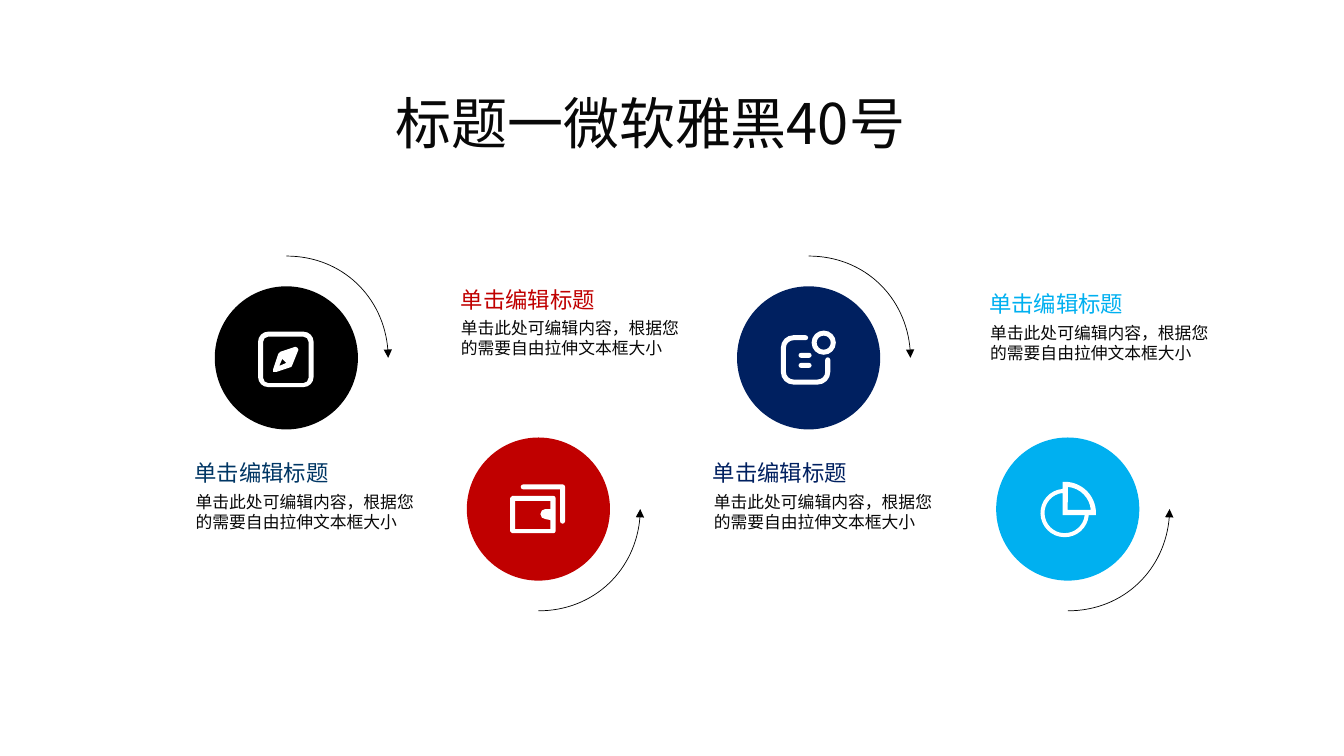
from math import ceil, cos, radians, sin, tan

from pptx import Presentation
from pptx.dml.color import RGBColor
from pptx.enum import shapes, text
from pptx.oxml.ns import qn
from pptx.util import Inches, Pt
from lxml import etree

BLACK = RGBColor(0x00, 0x00, 0x00)
WHITE = RGBColor(0xFF, 0xFF, 0xFF)
INK = RGBColor(0x08, 0x08, 0x08)
TEAL = RGBColor(0x00, 0x36, 0x64)
NAVY = RGBColor(0x00, 0x20, 0x60)
RED = RGBColor(0xC0, 0x00, 0x00)
SKY = RGBColor(0x00, 0xB0, 0xF0)
FONT = "Noto Sans CJK SC"

TITLE = "标题一微软雅黑40号"
HEADING = "单击编辑标题"
BODY = "单击此处可编辑内容，根据您的需要自由拉伸文本框大小"
DISC_SIZE = 1.42
ARROW_RADIUS = 1.01
STROKE = 0.05
CAP = STROKE / 2

STEPS = [
    {"center": (2.84, 3.55), "fill": BLACK, "ink": TEAL, "upper": True,
     "heading": (1.93, 4.56), "body": (1.94, 4.88)},
    {"center": (8.02, 3.55), "fill": NAVY, "ink": NAVY, "upper": True,
     "heading": (7.07, 4.56), "body": (7.08, 4.88)},
    {"center": (5.34, 5.05), "fill": RED, "ink": RED, "upper": False,
     "heading": (4.57, 2.84), "body": (4.57, 3.15)},
    {"center": (10.59, 5.05), "fill": SKY, "ink": SKY, "upper": False,
     "heading": (9.81, 2.88), "body": (9.82, 3.2)},
]


def arc(x, y, radius, start, end):
    count = ceil(abs(end - start) / 90)
    sweep = radians(end - start) / count
    reach = 4 / 3 * tan(sweep / 4)
    knots = []
    for i in range(count + 1):
        angle = radians(start) + sweep * i
        knots.append((x + radius * cos(angle), y + radius * sin(angle),
                      -radius * reach * sin(angle), radius * reach * cos(angle)))
    curves = [(ax + adx, ay + ady, bx - bdx, by - bdy, bx, by)
              for (ax, ay, adx, ady), (bx, by, bdx, bdy) in zip(knots, knots[1:])]
    return [knots[0][:2]] + curves


def rounded(left, top, right, bottom, radius):
    near_x, far_x = left + radius, right - radius
    near_y, far_y = top + radius, bottom - radius
    corners = [(near_x, near_y), (far_x, near_y), (far_x, far_y), (near_x, far_y)]
    return [part for i, (x, y) in enumerate(corners)
            for part in arc(x, y, radius, 180 + 90 * i, 270 + 90 * i)]


def dash(left, top, right):
    return rounded(left, top, right, top + STROKE, CAP)


COMPASS_NEEDLE = [
    [(2.93, 3.44), (2.78, 3.49), (2.76, 3.51), (2.71, 3.66), (2.71, 3.69), (2.74, 3.69),
     (2.89, 3.64), (2.9, 3.62), (2.96, 3.47), (2.95, 3.45)],
    [(2.77, 3.63), (2.8, 3.56), (2.84, 3.6)],
]
COMPASS_FRAME = [rounded(2.56, 3.29, 3.11, 3.84, 0.1), rounded(2.61, 3.34, 3.06, 3.8, 0.05)]
NOTE_OUTER, NOTE_INNER = 0.1 + CAP, 0.1 - CAP
NOTE_FRAME = [
    arc(8.21, 3.57, CAP, 180, 360)
    + arc(8.11, 3.69, NOTE_OUTER, 0, 90) + arc(7.87, 3.69, NOTE_OUTER, 90, 180)
    + arc(7.87, 3.45, NOTE_OUTER, 180, 270) + arc(7.99, 3.35, CAP, 270, 450)
    + arc(7.87, 3.45, NOTE_INNER, 270, 180) + arc(7.87, 3.69, NOTE_INNER, 180, 90)
    + arc(8.11, 3.69, NOTE_INNER, 90, 0)
]
NOTE_BADGE = [arc(8.17, 3.4, 0.12, 0, 360), arc(8.17, 3.4, 0.07, 0, 360)]
WALLET_FRONT = [
    rounded(5.06, 4.92, 5.51, 5.29, 0.02),
    [(5.11, 5.25), (5.11, 4.97), (5.46, 4.97), (5.46, 5.05)]
    + arc(5.41, 5.1, 0.05, 270, 90) + [(5.46, 5.16), (5.46, 5.25)],
]
WALLET_BACK = [arc(5.19, 4.83, CAP, 90, 270) + arc(5.58, 4.83, CAP, 270, 360)
               + arc(5.58, 5.17, CAP, 0, 180) + [(5.58 - CAP, 4.83 + CAP)]]
PIE = [
    [(10.54, 4.78)] + arc(10.56, 5.09, 0.31, 270, 360) + [(10.87, 5.11)]
    + arc(10.56, 5.09, 0.24, 5, 265),
    arc(10.56, 5.09, 0.2, 6, 264) + [(10.54, 5.11)],
    [(10.59, 5.06)] + arc(10.57, 5.08, 0.25, -85, -5),
]
ICONS = [PIE, WALLET_FRONT, WALLET_BACK, NOTE_FRAME, NOTE_BADGE,
         [dash(7.92, 3.5, 8.05)], [dash(7.92, 3.6, 8.05)], COMPASS_NEEDLE, COMPASS_FRAME]


def add_outline(page, contours, close):
    builder = None
    for contour in contours:
        points = [(Inches(part[i]), Inches(part[i + 1]))
                  for part in contour for i in range(0, len(part), 2)]
        if builder is None:
            builder = page.shapes.build_freeform(*points[0])
        else:
            builder.move_to(*points[0])
        builder.add_line_segments(points[1:], close=False)
    outline = builder.convert_to_shape()
    outline.shadow.inherit = False

    route = next(outline._element.iter(qn("a:path")))
    nodes = iter(list(route))
    for contour in contours:
        for part in contour:
            node = next(nodes)
            if len(part) == 6:
                curve = etree.Element(qn("a:cubicBezTo"))
                node.addprevious(curve)
                for step in (node, next(nodes), next(nodes)):
                    curve.append(step[0])
                    route.remove(step)
                node = curve
        if close:
            node.addnext(etree.Element(qn("a:close")))
    return outline


def add_disc(page, center, color):
    x, y = center
    half = DISC_SIZE / 2
    disc = page.shapes.add_shape(shapes.MSO_SHAPE.OVAL, Inches(x - half), Inches(y - half),
                                 Inches(DISC_SIZE), Inches(DISC_SIZE))
    disc.shadow.inherit = False
    disc.fill.solid()
    disc.fill.fore_color.rgb = color
    disc.line.fill.background()


def add_arrow(page, center, upper):
    start, end, tip = (360, 270, "a:headEnd") if upper else (90, 0, "a:tailEnd")
    arrow = add_outline(page, [arc(*center, ARROW_RADIUS, start, end)], False)
    arrow.fill.background()
    arrow.line.color.rgb = BLACK
    arrow.line.width = Pt(0.5)
    etree.SubElement(arrow.line._get_or_add_ln(), qn(tip), type="triangle")


def add_icon(page, contours):
    icon = add_outline(page, contours, True)
    icon.fill.solid()
    icon.fill.fore_color.rgb = WHITE
    icon.line.fill.background()


def write(box, words, size, color):
    frame = box.text_frame
    frame.word_wrap = True
    frame.auto_size = text.MSO_AUTO_SIZE.NONE
    para = frame.paragraphs[0]
    para.text = words
    para.alignment = text.PP_ALIGN.LEFT
    para.font.size = Pt(size)
    para.font.name = FONT
    para.font.color.rgb = color
    defaults = para._p.get_or_add_pPr().find(qn("a:defRPr"))
    etree.SubElement(defaults, qn("a:ea"), typeface=FONT)
    return frame


def add_label(page, place, size, words, points, color):
    box = page.shapes.add_textbox(*[Inches(v) for v in place + size])
    frame = write(box, words, points, color)
    frame.margin_left = frame.margin_right = frame.margin_top = frame.margin_bottom = 0
    frame.paragraphs[0].line_spacing = Pt(points * 1.2)


def main():
    deck = Presentation()
    deck.slide_width, deck.slide_height = Inches(13.33), Inches(7.5)
    page = deck.slides.add_slide(deck.slide_layouts[5])

    for step in STEPS:
        add_disc(page, step["center"], step["fill"])
        add_arrow(page, step["center"], step["upper"])
    for contours in ICONS:
        add_icon(page, contours)
    for step in STEPS:
        add_label(page, step["heading"], (2.13, 0.27), HEADING, 16, step["ink"])
        add_label(page, step["body"], (2.25, 0.4), BODY, 12, INK)

    title = page.shapes.title
    title.left, title.top = Inches(3.82), Inches(0.83)
    title.width, title.height = Inches(5.62), Inches(0.76)
    write(title, TITLE, 40, INK).vertical_anchor = text.MSO_ANCHOR.MIDDLE

    deck.save("out.pptx")


if __name__ == "__main__":
    main()
